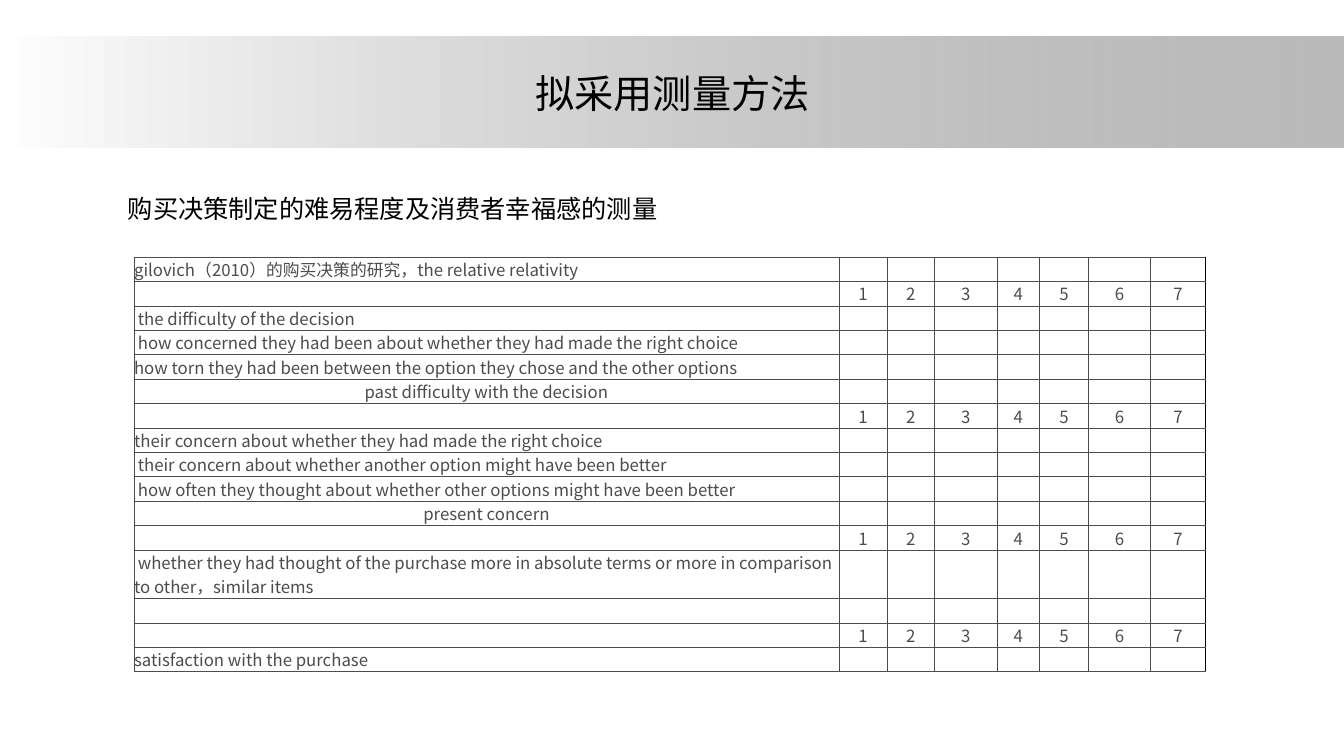
import pptx
import pptx.util
import pptx.dml.color
import pptx.enum.shapes
import pptx.enum.text
import pptx.oxml
import pptx.oxml.ns
from lxml import etree
from pptx.util import Inches

COLORS = {"white": "FFFFFF", "black": "000000", "gray": "808080", "dark": "4C4C4C"}
CJK_FONT = "Noto Sans CJK SC"
ALIGN = pptx.enum.text.PP_ALIGN
MIDDLE = pptx.enum.text.MSO_ANCHOR.MIDDLE

COLUMN_WIDTHS = [6.99, 0.48, 0.47, 0.62, 0.42, 0.49, 0.61, 0.55]
ROW_HEIGHT = 0.24
TALL_ROW_HEIGHT = 0.48
SCALE = "scale"
TALL_ITEM = (" whether they had thought of the purchase more in absolute terms "
             "or more in comparison to other，similar items")
ROWS = [
    "gilovich（2010）的购买决策的研究，the relative relativity",
    SCALE,
    " the difficulty of the decision",
    " how concerned they had been about whether they had made the right choice",
    "how torn they had been between the option they chose and the other options",
    "past difficulty with the decision",
    SCALE,
    "their concern about whether they had made the right choice",
    " their concern about whether another option might have been better",
    " how often they thought about whether other options might have been better",
    "present concern",
    SCALE,
    TALL_ITEM,
    "",
    SCALE,
    "satisfaction with the purchase",
]
CENTERED_ITEMS = {"past difficulty with the decision", "present concern"}


def rgb(name):
    return pptx.dml.color.RGBColor.from_string(COLORS[name])


def add_xml(parent, tag, **attributes):
    return etree.SubElement(parent, pptx.oxml.ns.qn(tag), attributes)


def write_text(text_frame, text, size, color="black", font="Arial", align=ALIGN.LEFT):
    text_frame.word_wrap = True
    paragraph = text_frame.paragraphs[0]
    paragraph.alignment = align
    if not text:
        # An empty cell still needs a small size to keep its row low.
        add_xml(paragraph._p, "a:endParaRPr", sz=str(size * 100))
        return
    run = paragraph.add_run()
    run.text = text
    run.font.size = pptx.util.Pt(size)
    run.font.color.rgb = rgb(color)
    run.font.name = font
    add_xml(run.font._element, "a:ea", typeface=CJK_FONT)


def add_banner(slide):
    banner = slide.shapes.add_shape(pptx.enum.shapes.MSO_SHAPE.RECTANGLE,
                                    0, Inches(0.36), Inches(13.33), Inches(1.1))
    banner.shadow.inherit = False
    banner.line.fill.background()
    banner.fill.gradient()
    banner.fill.gradient_angle = 0
    for stop, color in zip(banner.fill.gradient_stops, ("white", "gray")):
        stop.color.rgb = rgb(color)
    end_color = banner.element.findall(".//" + pptx.oxml.ns.qn("a:srgbClr"))[-1]
    add_xml(end_color, "a:alpha", val="54000")
    return banner


def add_title(slide, text, banner):
    title = slide.shapes.title
    title.left, title.top = Inches(0.67), Inches(0.3)
    title.width, title.height = Inches(12), Inches(1.25)
    title.text_frame.vertical_anchor = MIDDLE
    write_text(title.text_frame, text, 28, align=ALIGN.CENTER)
    banner.element.addnext(title.element)


def set_borders(cell, last_column):
    properties = cell._tc.get_or_add_tcPr()
    for index, side in enumerate(("L", "R", "T", "B")):
        outer = side == "R" and last_column
        color, width = ("black", 0.75) if outer else ("dark", 0.5)
        line = add_xml(properties, "a:ln" + side, w=str(pptx.util.Pt(width)))
        add_xml(add_xml(line, "a:solidFill"), "a:srgbClr", val=COLORS[color])
        properties.insert(index, line)


def format_cell(cell, text, align, last_column):
    cell.margin_left = cell.margin_right = cell.margin_top = cell.margin_bottom = 0
    cell.vertical_anchor = MIDDLE
    cell.fill.background()
    set_borders(cell, last_column)
    write_text(cell.text_frame, text, 12, color="dark", font=CJK_FONT, align=align)


def add_scale_table(slide):
    heights = [TALL_ROW_HEIGHT if item == TALL_ITEM else ROW_HEIGHT for item in ROWS]
    table = slide.shapes.add_table(len(ROWS), len(COLUMN_WIDTHS), Inches(1.33), Inches(2.55),
                                   Inches(sum(COLUMN_WIDTHS)), Inches(sum(heights))).table
    table.first_row = table.horz_banding = False
    for column, width in zip(table.columns, COLUMN_WIDTHS):
        column.width = Inches(width)
    last = len(COLUMN_WIDTHS) - 1
    for row, height, item in zip(table.rows, heights, ROWS):
        row.height = Inches(height)
        for number, cell in enumerate(row.cells):
            if item == SCALE:
                text = str(number) if number else ""
            else:
                text = "" if number else item
            centered = number or item in CENTERED_ITEMS
            format_cell(cell, text, ALIGN.CENTER if centered else ALIGN.LEFT, number == last)


def add_subtitle(slide, text):
    box = slide.shapes.add_textbox(Inches(1.17), Inches(1.87), Inches(8.49), Inches(0.4))
    write_text(box.text_frame, text, 18)


def main():
    presentation = pptx.Presentation()
    presentation.slide_width, presentation.slide_height = Inches(13.33), Inches(7.5)
    slide = presentation.slides.add_slide(presentation.slide_layouts[5])
    add_title(slide, "拟采用测量方法", add_banner(slide))
    add_scale_table(slide)
    add_subtitle(slide, "购买决策制定的难易程度及消费者幸福感的测量")
    presentation.save("out.pptx")


if __name__ == "__main__":
    main()
